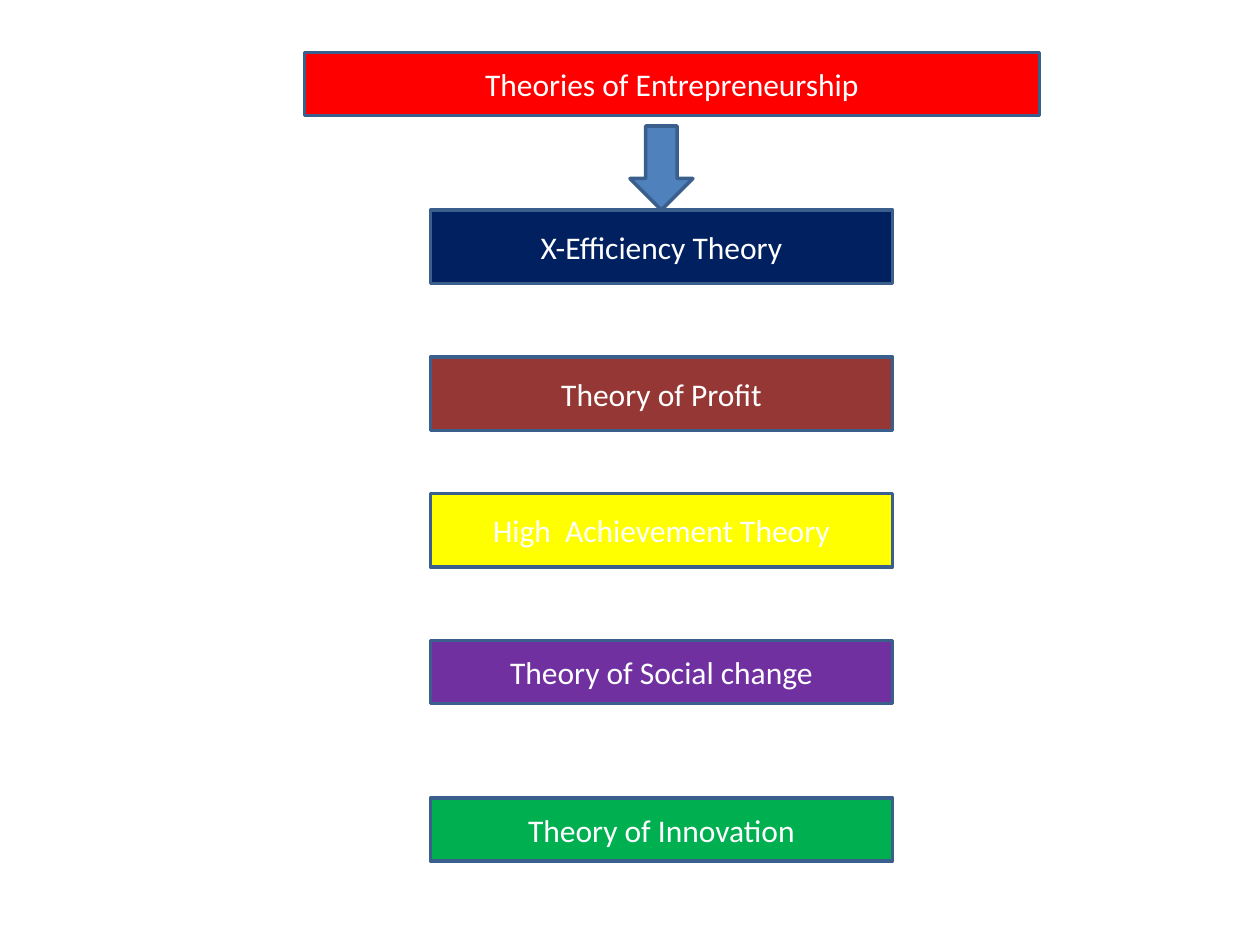
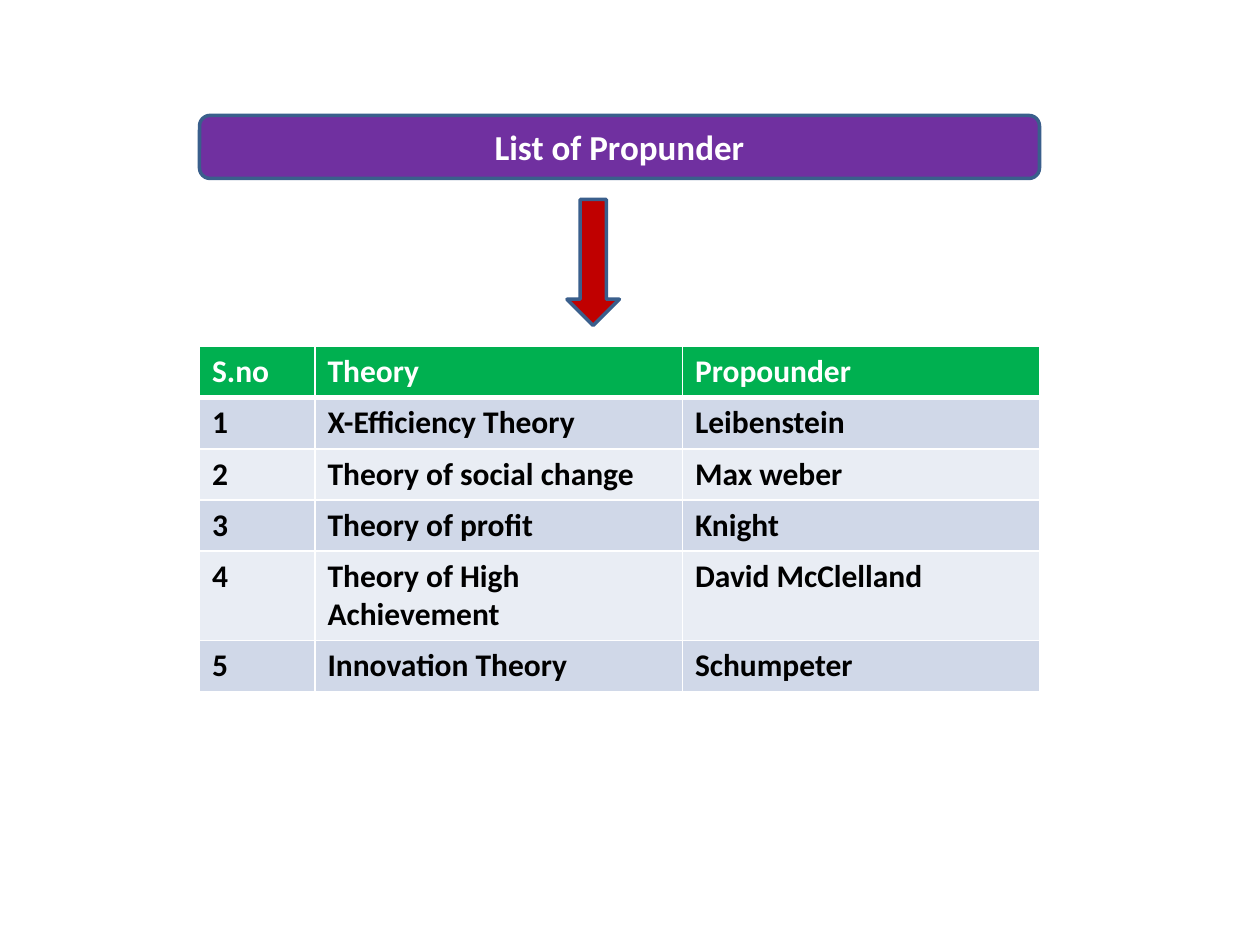
"""Build two slides on theories of entrepreneurship and their propounders."""
from dataclasses import dataclass

import pptx
import pptx.dml.color
import pptx.enum.shapes
import pptx.enum.text
import pptx.oxml
import pptx.oxml.ns
import pptx.util

SHAPE = pptx.enum.shapes.MSO_SHAPE
ALIGN = pptx.enum.text.PP_ALIGN
EMU_PER_PX = 9525
FONT = "Calibri"
WHITE, BLACK = "FFFFFF", "000000"
OUTLINE, PURPLE, GREEN = "3A5F8C", "7030A0", "00B050"
BANDS = ("D0D8E8", "E9EDF4")
THEORY_LEFT, THEORY_WIDTH = 328, 352
TABLE_LEFT, TABLE_TOP, ROW_HEIGHT = 152, 264, 39
COLUMNS = (88, 280, 272)
HEADER = ("S.no", "Theory", "Propounder")
PROPOUNDERS = (
    ("X-Efficiency Theory", "Leibenstein"),
    ("Theory of social change", "Max weber"),
    ("Theory of profit", "Knight"),
    ("Theory of High Achievement", "David McClelland"),
    ("Innovation Theory", "Schumpeter"),
)


@dataclass(frozen=True)
class Box:
    """A filled preset shape with optional centred text."""
    left: int
    top: int
    width: int
    height: int
    fill: str
    text: str = ""
    kind: SHAPE = SHAPE.RECTANGLE
    size: int = 18
    bold: bool = False


@dataclass(frozen=True)
class Theory:
    """One theory in the column of boxes."""
    text: str
    top: int
    height: int
    fill: str


THEORIES = (
    Theory("X-Efficiency Theory", 160, 56, "002060"),
    Theory("Theory of Profit", 272, 56, "953735"),
    Theory("High  Achievement Theory", 376, 56, "FFFF00"),
    Theory("Theory of Social change", 488, 48, PURPLE),
    Theory("Theory of Innovation", 608, 48, GREEN),
)


def px(n: int) -> pptx.util.Emu:
    """Turn pixels into EMU."""
    return pptx.util.Emu(n * EMU_PER_PX)


def rgb(value: str) -> pptx.dml.color.RGBColor:
    """Turn a hex string into a colour."""
    return pptx.dml.color.RGBColor.from_string(value)


def write(tf, text: str, *, size: int = 18, color: str = WHITE,
          bold: bool = False, align: ALIGN = ALIGN.LEFT) -> None:
    """Put one formatted paragraph in a text frame."""
    p = tf.paragraphs[0]
    p.alignment = align
    r = p.add_run()
    r.text = text
    r.font.name = FONT
    r.font.size = pptx.util.Pt(size)
    r.font.bold = bold
    r.font.color.rgb = rgb(color)


def draw_box(s, box: Box) -> None:
    """Draw a box on a slide."""
    sp = s.shapes.add_shape(box.kind, px(box.left), px(box.top),
                            px(box.width), px(box.height))
    sp.shadow.inherit = False
    sp.fill.solid()
    sp.fill.fore_color.rgb = rgb(box.fill)
    sp.line.color.rgb = rgb(OUTLINE)
    sp.line.width = pptx.util.Pt(2)
    if box.text:
        sp.text_frame.vertical_anchor = pptx.enum.text.MSO_ANCHOR.MIDDLE
        write(sp.text_frame, box.text, size=box.size, bold=box.bold,
              align=ALIGN.CENTER)


def set_borders(cell, top: int, bottom: int) -> None:
    """Give a cell white borders with top and bottom widths in points."""
    tc_pr = cell._tc.get_or_add_tcPr()
    for side, width in (("L", 1), ("R", 1), ("T", top), ("B", bottom)):
        tc_pr.append(pptx.oxml.parse_xml(
            f'<a:ln{side} {pptx.oxml.ns.nsdecls("a")} w="{pptx.util.Pt(width)}">'
            f'<a:solidFill><a:srgbClr val="{WHITE}"/></a:solidFill></a:ln{side}>'))


def draw_table(s) -> None:
    """Draw the numbered table of theories and propounders."""
    rows = [HEADER] + [(str(n), *row) for n, row in enumerate(PROPOUNDERS, 1)]
    table = s.shapes.add_table(
        len(rows), len(COLUMNS), px(TABLE_LEFT), px(TABLE_TOP),
        px(sum(COLUMNS)), px(ROW_HEIGHT * len(rows))).table
    for column, width in zip(table.columns, COLUMNS):
        column.width = px(width)
    for i, row in enumerate(rows):
        fill = BANDS[(i - 1) % 2] if i else GREEN
        for j, text in enumerate(row):
            cell = table.cell(i, j)
            set_borders(cell, 3 if i == 1 else 1, 1 if i else 3)
            cell.fill.solid()
            cell.fill.fore_color.rgb = rgb(fill)
            write(cell.text_frame, text, color=BLACK if i else WHITE, bold=True)


def build_theories(s) -> None:
    """Fill the slide that lists the theories."""
    draw_box(s, Box(232, 40, 560, 48, "FF0000", "Theories of Entrepreneurship"))
    for t in THEORIES:
        draw_box(s, Box(THEORY_LEFT, t.top, THEORY_WIDTH, t.height, t.fill, t.text))
    draw_box(s, Box(480, 96, 48, 64, "4F81BD", kind=SHAPE.DOWN_ARROW))


def build_propounders(s) -> None:
    """Fill the slide that names the propounders."""
    draw_table(s)
    draw_box(s, Box(TABLE_LEFT, 88, sum(COLUMNS), 48, PURPLE, "List of Propunder",
                    SHAPE.ROUNDED_RECTANGLE, size=20, bold=True))
    draw_box(s, Box(432, 152, 40, 96, "C00000", kind=SHAPE.DOWN_ARROW))


def main() -> None:
    """Build and save the presentation."""
    prs = pptx.Presentation()
    prs.slide_width, prs.slide_height = px(960), px(720)
    for build in (build_theories, build_propounders):
        build(prs.slides.add_slide(prs.slide_layouts[6]))
    prs.save("out.pptx")


if __name__ == "__main__":
    main()
